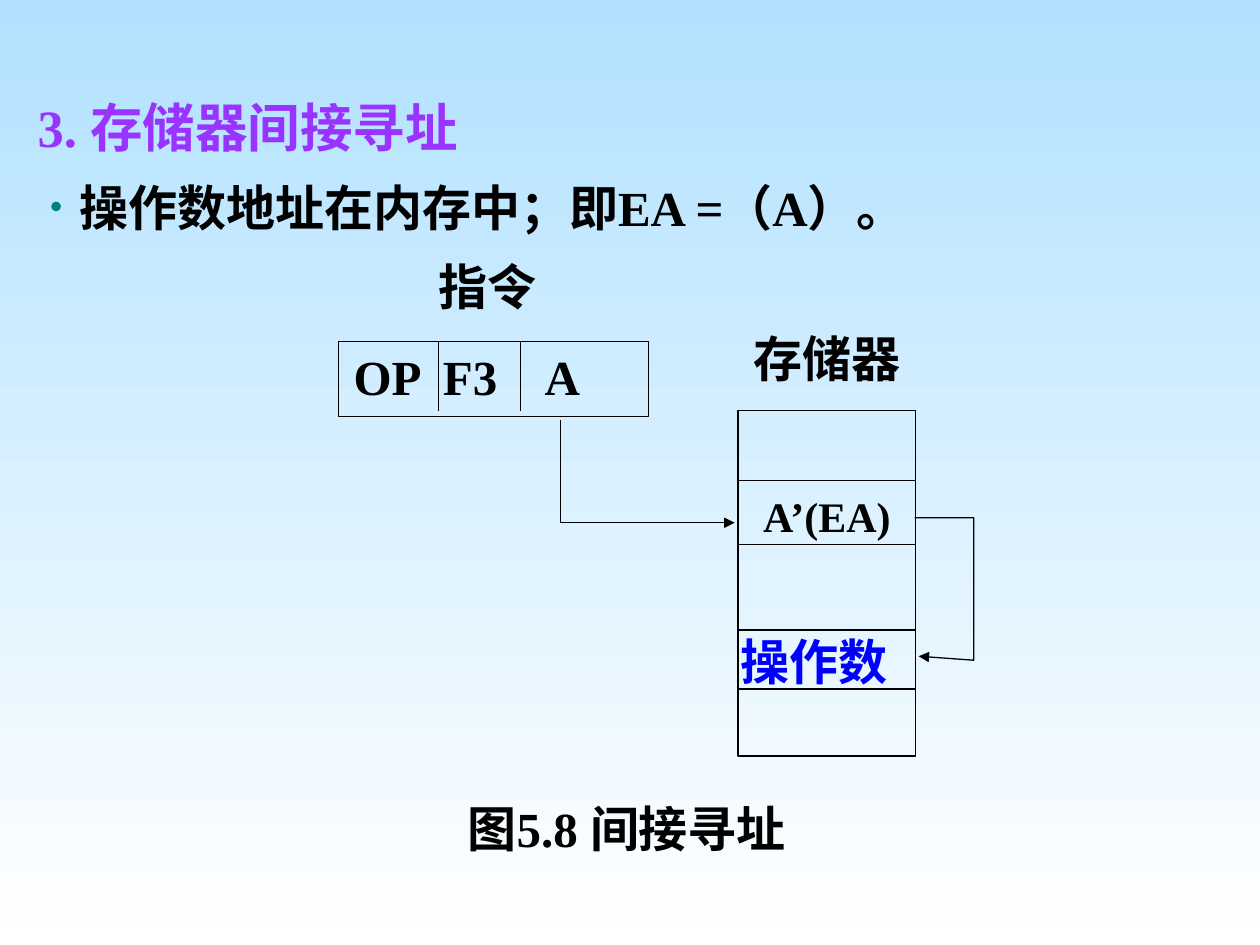
from lxml import etree
from pptx import Presentation
from pptx.dml.color import RGBColor
from pptx.enum.shapes import MSO_CONNECTOR, MSO_SHAPE
from pptx.enum.text import MSO_ANCHOR, MSO_AUTO_SIZE, PP_ALIGN
from pptx.oxml.ns import qn
from pptx.util import Cm, Pt

STRAIGHT, RECTANGLE = MSO_CONNECTOR.STRAIGHT, MSO_SHAPE.RECTANGLE
TOP, NO_AUTOFIT = MSO_ANCHOR.TOP, MSO_AUTO_SIZE.NONE
LEFT, CENTER = PP_ALIGN.LEFT, PP_ALIGN.CENTER

# Content; all lengths in cm
FONT = "Times New Roman"
COLORS = {"sky": "B1E1FF", "white": "FFFFFF", "heading": "9933FF",
          "bullet": "008080", "ink": "000000", "operand": "0000FF"}
HEADING = "3. 存储器间接寻址"
POINT = "操作数地址在内存中；即EA =（A）。"
LABELS = [  # text, left, top, width, height, alignment
    ("指令", 8.84, 5.18, 3.58, 1.27, LEFT),
    ("存储器", 15.19, 6.63, 3.58, 1.27, LEFT),
    ("图5.8 间接寻址", 7.72, 16.1, 9.83, 1.4, CENTER),
]
INSTRUCTION = (6.83, 6.88, 6.25, 1.52)
FIELDS = ["OP", "F3", "A"]
FIELD_TABS = [1.8, 3.85]
FIELD_DIVIDERS = [8.84, 10.49]
MEMORY = (14.88, 8.28, 3.58, 6.96)
MEMORY_DIVIDERS = [9.68, 10.97, 12.7, 13.89]
ARROWS = [
    [(11.3, 8.46), (11.3, 10.54), (14.81, 10.54)],
    [(18.44, 10.44), (19.63, 10.44), (19.63, 13.31), (18.52, 13.23)],
]


def rgb(name):
    return RGBColor.from_string(COLORS[name])


def set_font(paragraph, size, color="ink"):
    font = paragraph.font
    font.name, font.size, font.bold = FONT, Pt(size), True
    font.color.rgb = rgb(color)


def set_frame(frame, left=0, top=0, right=0, bottom=0):
    frame.word_wrap = True
    frame.auto_size = NO_AUTOFIT
    frame.vertical_anchor = TOP
    frame.margin_left, frame.margin_top = Cm(left), Cm(top)
    frame.margin_right, frame.margin_bottom = Cm(right), Cm(bottom)


def set_outline(shape):
    shape.line.color.rgb = rgb("ink")
    shape.line.width = Pt(0.75)


def add_frame_box(box):
    shape = slide.shapes.add_shape(RECTANGLE, *map(Cm, box))
    shape.shadow.inherit = False
    shape.fill.background()
    set_outline(shape)
    return shape.text_frame


def add_divider(x1, y1, x2, y2):
    divider = slide.shapes.add_connector(STRAIGHT, *map(Cm, (x1, y1, x2, y2)))
    set_outline(divider)
    etree.SubElement(divider._element.spPr, qn("a:effectLst"))


prs = Presentation()
prs.slide_width, prs.slide_height = Cm(25.4), Cm(19.05)
slide = prs.slides.add_slide(prs.slide_layouts[5])

# Background
background = slide.background.fill
background.gradient()
background.gradient_angle = 270
for stop, color, position in zip(background.gradient_stops, ("sky", "white"), (0, 1)):
    stop.color.rgb = rgb(color)
    stop.position = position

# Heading
title = slide.shapes.title
title.left, title.top, title.width, title.height = map(Cm, (0.51, 1.78, 17.96, 1.65))
title.text_frame.text = HEADING
set_frame(title.text_frame, 0.25, 0.13, 0.25, 0.13)
heading = title.text_frame.paragraphs[0]
heading.alignment = LEFT
set_font(heading, 30, "heading")

# Bulleted point
point_frame = slide.shapes.add_textbox(*map(Cm, (0.51, 3.44, 17.96, 2.62))).text_frame
set_frame(point_frame, 0.25, 0.13, 0.25, 0.13)
point = point_frame.paragraphs[0]
point.text = POINT
props = point._p.get_or_add_pPr()
props.set("marL", str(Cm(0.85)))
props.set("indent", str(-Cm(0.6)))
bullet_color = etree.SubElement(props, qn("a:buClr"))
etree.SubElement(bullet_color, qn("a:srgbClr"), val=COLORS["bullet"])
etree.SubElement(props, qn("a:buSzPct"), val="71000")
etree.SubElement(props, qn("a:buFont"), typeface="Arial")
etree.SubElement(props, qn("a:buChar"), char="•")
set_font(point, 28)

# Diagram labels and caption
for text, left, top, width, height, alignment in LABELS:
    label_frame = slide.shapes.add_textbox(*map(Cm, (left, top, width, height))).text_frame
    set_frame(label_frame)
    label = label_frame.paragraphs[0]
    label.text, label.alignment = text, alignment
    set_font(label, 28)

# Instruction word with its fields
instruction_frame = add_frame_box(INSTRUCTION)
set_frame(instruction_frame, left=0.3, top=0.1)
fields = instruction_frame.paragraphs[0]
fields.text, fields.alignment = "\t".join(FIELDS), LEFT
tab_list = etree.SubElement(fields._p.get_or_add_pPr(), qn("a:tabLst"))
for tab in FIELD_TABS:
    etree.SubElement(tab_list, qn("a:tab"), pos=str(Cm(tab)), algn="l")
set_font(fields, 28)
for x in FIELD_DIVIDERS:
    add_divider(x, INSTRUCTION[1], x, MEMORY[1])

# Memory with its rows
memory_frame = add_frame_box(MEMORY)
set_frame(memory_frame, left=0.05, top=1.6, right=0.05)
address = memory_frame.paragraphs[0]
address.text, address.alignment = "A’(EA)", CENTER
set_font(address, 24)
operand = memory_frame.add_paragraph()
operand.text, operand.alignment = "操作数", LEFT
operand.space_before = Pt(52)
set_font(operand, 28, "operand")
for y in MEMORY_DIVIDERS:
    add_divider(MEMORY[0], y, MEMORY[0] + MEMORY[2], y)

# Bent arrows: instruction to address, address to operand
for points in ARROWS:
    start, *rest = [(Cm(x), Cm(y)) for x, y in points]
    builder = slide.shapes.build_freeform(*start)
    builder.add_line_segments(rest, close=False)
    arrow = builder.convert_to_shape()
    arrow.shadow.inherit = False
    arrow.fill.background()
    set_outline(arrow)
    etree.SubElement(arrow.line._get_or_add_ln(), qn("a:tailEnd"), type="triangle")

prs.save("out.pptx")
